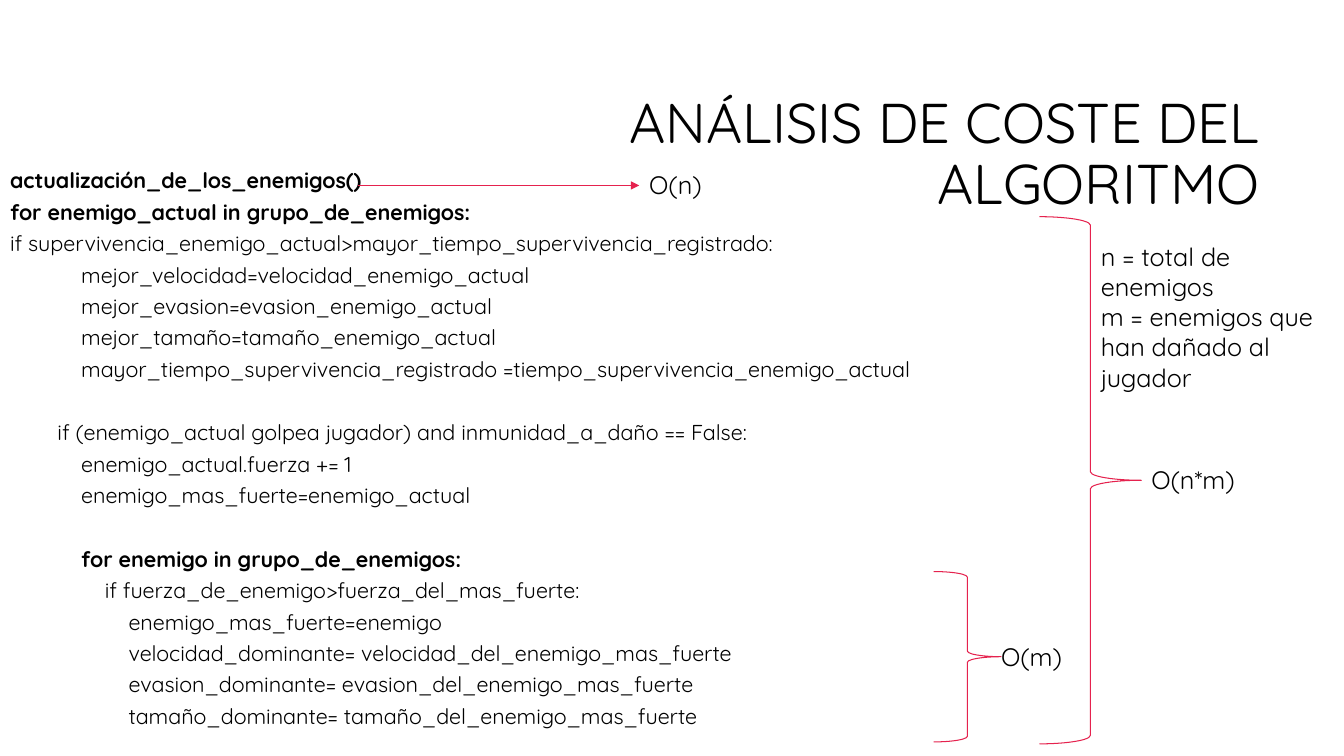
from lxml import etree
from pptx import Presentation
from pptx.dml.color import RGBColor
from pptx.enum.shapes import MSO_CONNECTOR, MSO_SHAPE
from pptx.enum.text import MSO_ANCHOR, MSO_AUTO_SIZE, PP_ALIGN
from pptx.oxml.ns import qn
from pptx.util import Inches, Pt

STRAIGHT = MSO_CONNECTOR.STRAIGHT
RIGHT_BRACE = MSO_SHAPE.RIGHT_BRACE
MIDDLE, TOP = MSO_ANCHOR.MIDDLE, MSO_ANCHOR.TOP
LEFT, RIGHT = PP_ALIGN.LEFT, PP_ALIGN.RIGHT
NO_FIT = MSO_AUTO_SIZE.NONE

COLORS = {"text": "000000", "accent": "E5224E"}
FONT = "Quicksand"
INDENT = 0.235      # inches per indent level
CODE_GAP = 9.5      # points between code lines
CODE_PITCH = 23     # points from one code line to the next

# Indent level, text, bold, gap above
CODE = [
    (0, "actualización_de_los_enemigos()", True, False),
    (0, "for enemigo_actual in grupo_de_enemigos:", True, False),
    (0, "if supervivencia_enemigo_actual>mayor_tiempo_supervivencia_registrado:", False, False),
    (3, "mejor_velocidad=velocidad_enemigo_actual", False, False),
    (3, "mejor_evasion=evasion_enemigo_actual", False, False),
    (3, "mejor_tamaño=tamaño_enemigo_actual", False, False),
    (3, "mayor_tiempo_supervivencia_registrado =tiempo_supervivencia_enemigo_actual", False, False),
    (2, "if (enemigo_actual golpea jugador) and inmunidad_a_daño == False:", False, True),
    (3, "enemigo_actual.fuerza += 1", False, False),
    (3, "enemigo_mas_fuerte=enemigo_actual", False, False),
    (3, "for enemigo in grupo_de_enemigos:", True, True),
    (4, "if fuerza_de_enemigo>fuerza_del_mas_fuerte:", False, False),
    (5, "enemigo_mas_fuerte=enemigo", False, False),
    (5, "velocidad_dominante= velocidad_del_enemigo_mas_fuerte", False, False),
    (5, "evasion_dominante= evasion_del_enemigo_mas_fuerte", False, False),
    (5, "tamaño_dominante= tamaño_del_enemigo_mas_fuerte", False, False),
]


def write(paragraph, text, size, bold=False, align=LEFT):
    paragraph.text = text
    paragraph.alignment = align
    font = paragraph.font
    font.name, font.size, font.bold = FONT, Pt(size), bold
    font.color.rgb = RGBColor.from_string(COLORS["text"])


def place(box, left, top, width, height, anchor):
    box.left, box.top = Inches(left), Inches(top)
    box.width, box.height = Inches(width), Inches(height)
    frame = box.text_frame
    frame.word_wrap = True
    frame.auto_size = NO_FIT
    frame.vertical_anchor = anchor
    return frame


deck = Presentation()
deck.slide_width, deck.slide_height = Inches(13.33), Inches(7.5)
page = deck.slides.add_slide(deck.slide_layouts[1])

# Title
title = place(page.shapes.title, 3.17, 0.84, 9.42, 1.41, MIDDLE).paragraphs[0]
write(title, "ANÁLISIS DE COSTE DEL ALGORITMO", 40, align=RIGHT)
title.line_spacing = 0.9

# Pseudocode
code = place(page.placeholders[1], 0, 1.68, 10.76, 5.82, TOP)
for index, (level, text, bold, gap) in enumerate(CODE):
    paragraph = code.add_paragraph() if index else code.paragraphs[0]
    write(paragraph, text, 15.4, bold)
    paragraph.line_spacing = 0.7
    paragraph.space_before = Pt(CODE_GAP + (CODE_PITCH if gap else 0))
    properties = paragraph._p.get_or_add_pPr()
    properties.set("marL", str(Inches(level * INDENT)))
    properties.set("indent", "0")
    etree.SubElement(properties, qn("a:buNone"))
    # Bullet settings go before the default run properties
    properties.append(properties.find(qn("a:defRPr")))

# Arrow from the function name to its cost
arrow = page.shapes.add_connector(STRAIGHT, Inches(3.55), Inches(1.84), Inches(6.34), Inches(1.84))
arrow.line.color.rgb = RGBColor.from_string(COLORS["accent"])
arrow.line.width = Pt(0.75)
etree.SubElement(arrow.line._get_or_add_ln(), qn("a:tailEnd"), type="triangle")
etree.SubElement(arrow._element.spPr, qn("a:effectLst"))

# Braces around the inner and outer loops
for bounds in [(9.26, 5.67, 0.67, 1.69), (10.31, 2.15, 1.01, 5.23)]:
    brace = page.shapes.add_shape(RIGHT_BRACE, *map(Inches, bounds))
    brace.shadow.inherit = False
    brace.fill.background()
    brace.line.color.rgb = RGBColor.from_string(COLORS["accent"])
    brace.line.width = Pt(0.75)

# Cost labels and legend
LABELS = [
    ((6.34, 1.63, 1.29, 0.4), ["O(n)"]),
    ((11.32, 4.56, 1.31, 0.4), ["O(n*m)"]),
    ((9.83, 6.31, 0.85, 0.4), ["O(m)"]),
    ((10.82, 2.34, 2.53, 1.62), ["n = total de enemigos", "m = enemigos que han dañado al jugador"]),
]
for bounds, lines in LABELS:
    box = page.shapes.add_textbox(*map(Inches, bounds))
    frame = place(box, *bounds, TOP)
    for index, text in enumerate(lines):
        write(frame.add_paragraph() if index else frame.paragraphs[0], text, 18)

deck.save("out.pptx")
